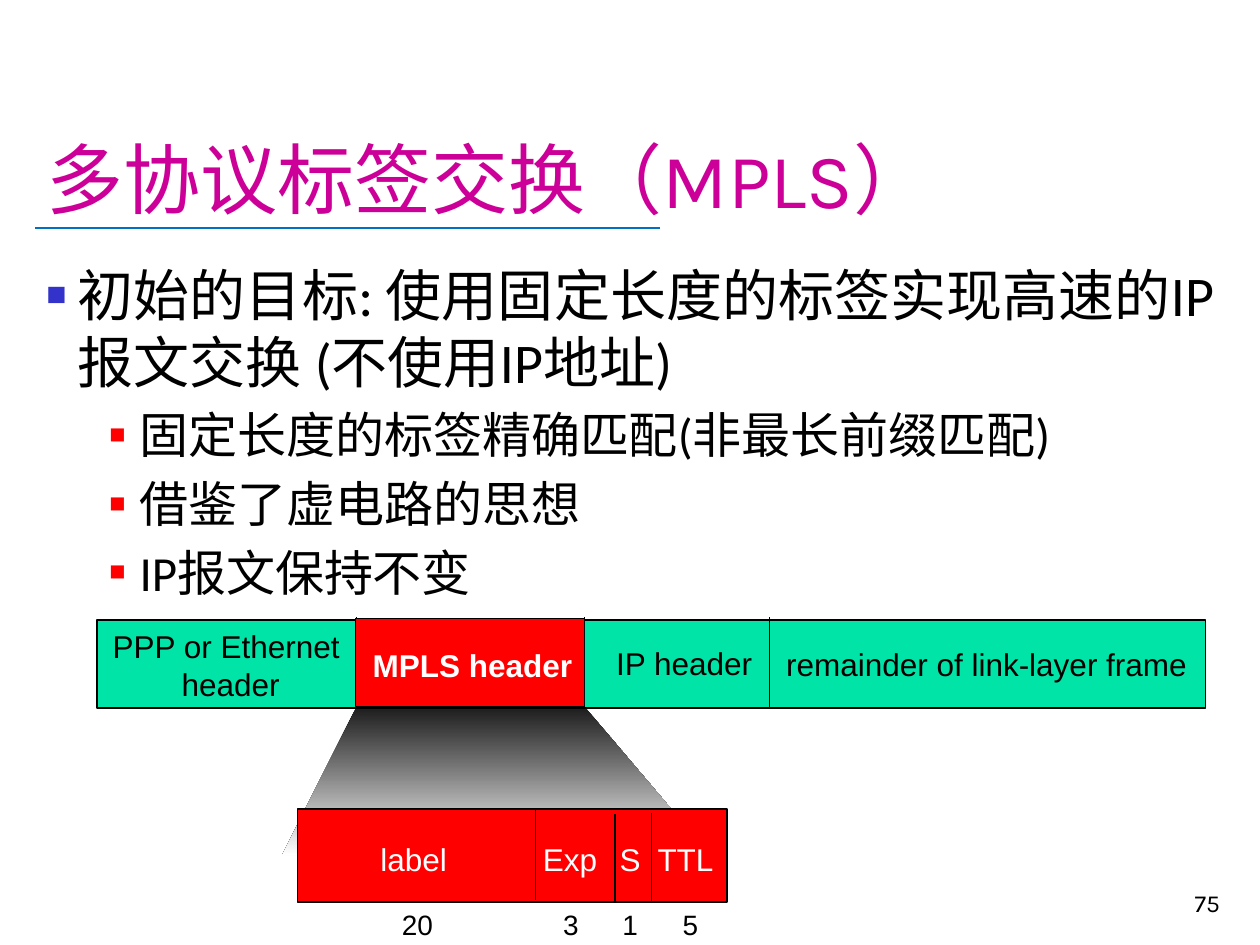
from lxml import etree
from pptx import Presentation
from pptx.dml.color import RGBColor
from pptx.enum.shapes import MSO_CONNECTOR, MSO_SHAPE
from pptx.enum.text import MSO_ANCHOR, PP_ALIGN
from pptx.oxml.ns import qn
from pptx.util import Inches, Pt

BLACK = RGBColor(0, 0, 0)
WHITE = RGBColor(0xFF, 0xFF, 0xFF)
CHARCOAL = RGBColor(0x1C, 0x1C, 0x1C)
MAGENTA = RGBColor(0xCC, 0x00, 0x99)
BLUE = RGBColor(0x00, 0x70, 0xC0)
INDIGO = RGBColor(0x33, 0x33, 0xCC)
RED = RGBColor(0xFF, 0x00, 0x00)
GREEN = RGBColor(0x00, 0xE4, 0xA8)

GOAL = "初始的目标: 使用固定长度的标签实现高速的IP报文交换 (不使用IP地址)"
DETAILS = ["固定长度的标签精确匹配(非最长前缀匹配)", "借鉴了虚电路的思想", "IP报文保持不变"]


def style_text(paragraph, size, color, font="Arial", bold=False):
    for run in paragraph.runs:
        run.font.size = Pt(size)
        run.font.name = font
        run.font.bold = bold
        run.font.color.rgb = color


def add_text(slide, box, text, size, color=BLACK, font="Arial", bold=False,
             align=PP_ALIGN.LEFT, anchor=MSO_ANCHOR.TOP, wrap=False):
    frame = slide.shapes.add_textbox(*map(Inches, box)).text_frame
    frame.word_wrap = wrap
    frame.vertical_anchor = anchor
    frame.text = text
    for paragraph in frame.paragraphs:
        paragraph.alignment = align
        style_text(paragraph, size, color, font, bold)
    return frame


def add_bar(slide, box, color):
    bar = slide.shapes.add_shape(MSO_SHAPE.RECTANGLE, *map(Inches, box))
    bar.shadow.inherit = False
    bar.fill.solid()
    bar.fill.fore_color.rgb = color
    bar.line.color.rgb = BLACK
    bar.line.width = Pt(0.75)


def add_line(slide, start, end, color=BLACK, width=0.75):
    line = slide.shapes.add_connector(
        MSO_CONNECTOR.STRAIGHT, *map(Inches, (*start, *end)))
    line.line.color.rgb = color
    line.line.width = Pt(width)
    etree.SubElement(line._element.spPr, qn("a:effectLst"))


def add_bullet(paragraph, color, percent, margin, hanging):
    properties = paragraph._p.get_or_add_pPr()
    properties.set("marL", str(Inches(margin)))
    properties.set("indent", str(-Inches(hanging)))
    bullet_color = etree.SubElement(properties, qn("a:buClr"))
    etree.SubElement(bullet_color, qn("a:srgbClr"), val=str(color))
    etree.SubElement(properties, qn("a:buSzPct"), val=str(percent * 1000))
    etree.SubElement(properties, qn("a:buFont"), typeface="Arial")
    etree.SubElement(properties, qn("a:buChar"), char="■")


def add_outline(slide):
    body = add_text(slide, (0.27, 2.02, 9.52, 4.69), "\n".join([GOAL, *DETAILS]),
                    32, font="Calibri", wrap=True)
    goal, *details = body.paragraphs
    goal.space_before = Pt(6.4)
    add_bullet(goal, INDIGO, 60, 0.25, 0.25)
    for detail in details:
        detail.level = 1
        detail.space_before = Pt(5.6)
        style_text(detail, 28, BLACK, "Calibri")
        add_bullet(detail, RED, 55, 0.74, 0.24)


def add_zoom(slide):
    builder = slide.shapes.build_freeform(Inches(2.83), Inches(5.61))
    corners = [(2.24, 6.79), (5.64, 6.79), (4.64, 5.61)]
    builder.add_line_segments([(Inches(x), Inches(y)) for x, y in corners])
    zoom = builder.convert_to_shape()
    zoom.shadow.inherit = False
    zoom.line.fill.background()
    zoom.fill.gradient()
    zoom.fill.gradient_angle = 270
    for stop, position, color in zip(zoom.fill.gradient_stops, (0, 1), (CHARCOAL, WHITE)):
        stop.position = position
        stop.color.rgb = color


def add_frame_row(slide):
    add_bar(slide, (0.77, 4.92, 8.8, 0.7), GREEN)
    add_text(slide, (0.79, 4.93, 2.08, 0.7), "PPP or Ethernet \nheader", 18,
             align=PP_ALIGN.CENTER)
    add_text(slide, (4.79, 5.06, 1.28, 0.4), "IP header", 18, align=PP_ALIGN.CENTER)
    add_text(slide, (6.14, 5.07, 3.38, 0.4), "remainder of link-layer frame", 18)
    for x in (2.83, 4.64, 6.11):
        add_line(slide, (x, 4.9), (x, 5.62))
    add_bar(slide, (2.82, 4.91, 1.82, 0.7), RED)
    add_text(slide, (2.75, 5.08, 2, 0.4), "MPLS header", 18, WHITE, bold=True,
             align=PP_ALIGN.CENTER)


def add_header_fields(slide):
    add_bar(slide, (2.36, 6.42, 3.41, 0.74), RED)
    fields = [
        ("label", 2.92, 0.73, "20", 3.09, 0.45),
        ("Exp", 4.21, 0.63, "3", 4.37, 0.32),
        ("S", 4.82, 0.37, "1", 4.84, 0.32),
        ("TTL", 5.12, 0.65, "5", 5.32, 0.32),
    ]
    for name, name_x, name_width, bits, bits_x, bits_width in fields:
        add_text(slide, (name_x, 6.62, name_width, 0.4), name, 18, WHITE)
        add_text(slide, (bits_x, 7.15, bits_width, 0.37), bits, 16)
    for x, top in ((4.25, 6.43), (4.88, 6.46), (5.17, 6.45)):
        add_line(slide, (x, top), (x, top + 0.71))


def main():
    presentation = Presentation()
    presentation.slide_width = Inches(10)
    presentation.slide_height = Inches(7.5)
    slide = presentation.slides.add_slide(presentation.slide_layouts[6])
    add_line(slide, (0.28, 1.81), (5.24, 1.81), BLUE, 1.25)
    add_text(slide, (0.27, 0.23, 9.51, 1.6), "多协议标签交换（MPLS）", 44, MAGENTA,
             "Karla", anchor=MSO_ANCHOR.BOTTOM, wrap=True)
    add_text(slide, (7.7, 6.83, 2.08, 0.5), "75", 14, font="Karla",
             align=PP_ALIGN.RIGHT, anchor=MSO_ANCHOR.BOTTOM, wrap=True)
    add_outline(slide)
    add_zoom(slide)
    add_frame_row(slide)
    add_header_fields(slide)
    presentation.save("out.pptx")


if __name__ == "__main__":
    main()
